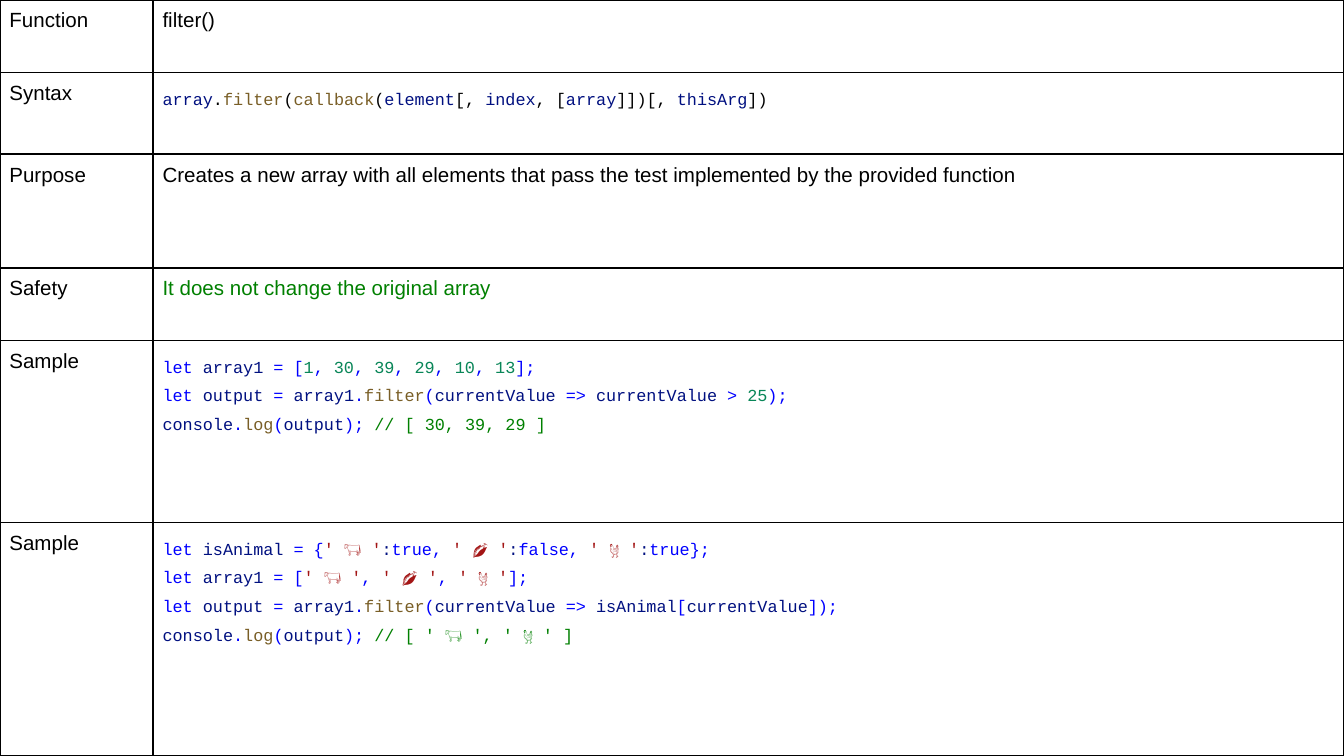
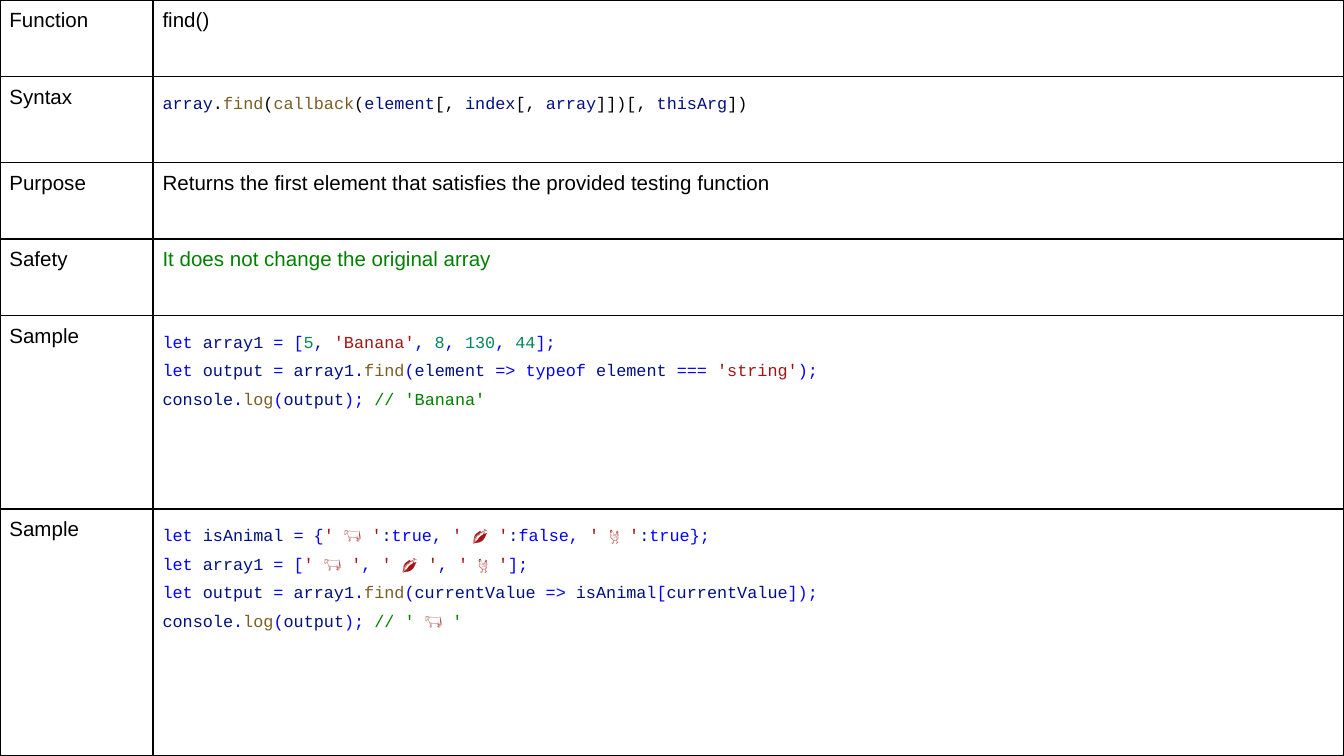
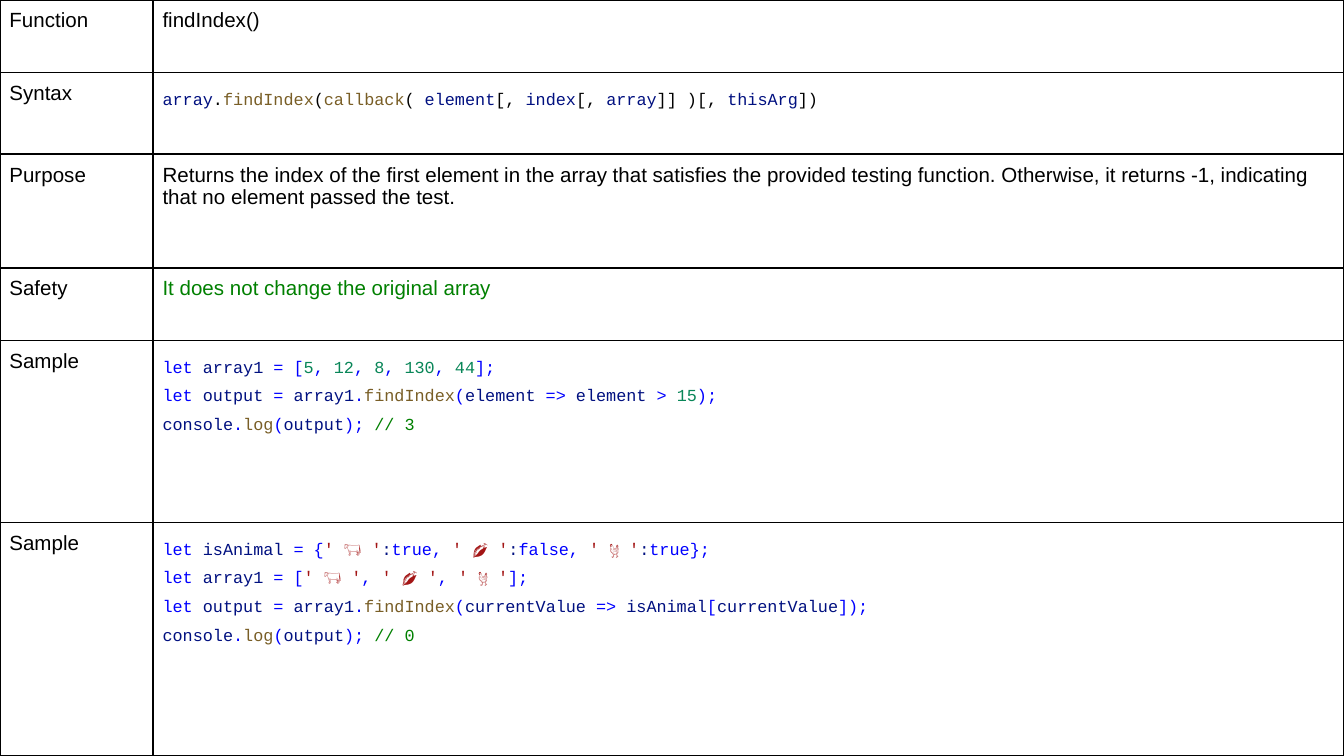
import pptx
import pptx.util
import pptx.dml.color
import pptx.oxml.ns
from lxml import etree

Inches = pptx.util.Inches
Pt = pptx.util.Pt
RGBColor = pptx.dml.color.RGBColor

# Widescreen slide, 16:9
SLIDE_WIDTH = Inches(10)
SLIDE_HEIGHT = SLIDE_WIDTH * 9 // 16

# Shared colours: plain text, then syntax highlighting
BLACK = RGBColor(0x00, 0x00, 0x00)
GREEN = RGBColor(0x00, 0x80, 0x00)
KEYWORD = RGBColor(0x00, 0x00, 0xFF)
NAME = RGBColor(0x00, 0x10, 0x80)
FUNCTION = RGBColor(0x79, 0x5E, 0x26)
NUMBER = RGBColor(0x09, 0x86, 0x58)
STRING = RGBColor(0xA3, 0x15, 0x15)

# Shared type and table measures
TEXT_FONT, TEXT_SIZE = "Arial", 11
CODE_FONT, CODE_SIZE = "Courier New", 9
CODE_SPACING = 1.5
MARGIN = Inches(0.07)
FRAME_SIZE = Inches(3.28)
COLUMNS = (1.14, 8.86)
TALL_PURPOSE_ROWS = (0.54, 0.61, 0.85, 0.54, 1.36, 1.74)
EVEN_ROWS = (0.57, 0.64, 0.57, 0.57, 1.44, 1.84)
LABELS = ("Function", "Syntax", "Purpose", "Safety", "Sample", "Sample")

SAFETY = "It does not change the original array"
COW, CORN, CHICKEN = "' 🐄 '", "' 🌽 '", "' 🐔 '"


# Code lines: each is a list of (text, colour) runs
def declare(name, opening, *runs):
    return [("let ", KEYWORD), (name, NAME), (" = " + opening, KEYWORD), *runs]


def array_line(items):
    runs = []
    for item in items:
        if runs:
            runs.append((", ", KEYWORD))
        runs.append((item, STRING if item.startswith("'") else NUMBER))
    return declare("array1", "[", *runs, ("];", KEYWORD))


def object_line(entries):
    runs = []
    for i, (key, value) in enumerate(entries):
        ending = "};" if i == len(entries) - 1 else ", "
        runs += [(key, STRING), (":", NAME), (value + ending, KEYWORD)]
    return declare("isAnimal", "{", *runs)


def call_line(method, parameter, *body):
    return declare("output", "", ("array1", NAME), (".", KEYWORD), (method, FUNCTION),
                   ("(", KEYWORD), (parameter, NAME), *body)


def log_line(*result):
    return [("console", NAME), (".", KEYWORD), ("log", FUNCTION), ("(", KEYWORD),
            ("output", NAME), ("); ", KEYWORD), *result]


def syntax_line(method, opening, before_array, closing):
    return [("array", NAME), (".", BLACK), (method, FUNCTION), ("(", BLACK),
            ("callback", FUNCTION), (opening, BLACK), ("element", NAME), ("[, ", BLACK),
            ("index", NAME), (before_array, BLACK), ("array", NAME), (closing, BLACK),
            ("thisArg", NAME), ("])", BLACK)]


def greater_than(parameter, limit):
    return (parameter, (" => ", KEYWORD), (parameter, NAME), (" > ", KEYWORD),
            (limit, NUMBER), (");", KEYWORD))


def value_sample(method, items, test, result):
    return [array_line(items), call_line(method, *test), log_line((result, GREEN))]


def animal_sample(method, *result):
    return [
        object_line([(COW, "true"), (CORN, "false"), (CHICKEN, "true")]),
        array_line([COW, CORN, CHICKEN]),
        call_line(method, "currentValue", (" => ", KEYWORD), ("isAnimal", NAME),
                  ("[", KEYWORD), ("currentValue", NAME), ("]);", KEYWORD)),
        log_line(*result),
    ]


# Table cells
def format_cell(cell):
    cell.margin_left = cell.margin_right = MARGIN
    cell.margin_top = cell.margin_bottom = MARGIN
    tcPr = cell._tc.get_or_add_tcPr()
    qn = pptx.oxml.ns.qn
    for side in ("a:lnL", "a:lnR", "a:lnT", "a:lnB"):
        ln = etree.SubElement(tcPr, qn(side), w=str(Pt(1)))
        fill = etree.SubElement(ln, qn("a:solidFill"))
        etree.SubElement(fill, qn("a:srgbClr"), val=str(BLACK))
    cell.fill.background()


def write_lines(cell, lines, font, size, spacing=None):
    tf = cell.text_frame
    for i, runs in enumerate(lines):
        p = tf.add_paragraph() if i else tf.paragraphs[0]
        p.line_spacing = spacing
        for text, colour in runs:
            r = p.add_run()
            r.text = text
            r.font.name = font
            r.font.size = Pt(size)
            r.font.color.rgb = colour


def write_text(cell, text, colour=BLACK):
    write_lines(cell, [[(text, colour)]], TEXT_FONT, TEXT_SIZE)


def write_code(cell, lines):
    write_lines(cell, lines, CODE_FONT, CODE_SIZE, CODE_SPACING)


# One reference table; columns and rows share out the given box
def add_reference_table(s, box, heights, method, syntax, purpose, samples):
    left, top, width, height = box
    frame = s.shapes.add_table(len(LABELS), len(COLUMNS), left, top, width, height)
    table = frame.table
    table.first_row = table.horz_banding = False
    for column, share in zip(table.columns, COLUMNS):
        column.width = int(width * share / sum(COLUMNS))
    for row, share, label in zip(table.rows, heights, LABELS):
        row.height = int(height * share / sum(heights))
        for cell in row.cells:
            format_cell(cell)
        write_text(row.cells[0], label)
    # The cells set the drawn size; the frame keeps its nominal one
    frame.width = frame.height = FRAME_SIZE

    details = [row.cells[1] for row in table.rows]
    write_text(details[0], method + "()")
    write_code(details[1], [syntax_line(method, *syntax)])
    write_text(details[2], purpose)
    write_text(details[3], SAFETY, GREEN)
    for cell, sample in zip(details[4:], samples):
        write_code(cell, sample)


FUNCTIONS = [
    (TALL_PURPOSE_ROWS, "filter", ("(", ", [", "]])[, "),
     "Creates a new array with all elements that pass the test implemented by "
     "the provided function",
     [value_sample("filter", ["1", "30", "39", "29", "10", "13"],
                   greater_than("currentValue", "25"), "// [ 30, 39, 29 ]"),
      animal_sample("filter", (f"// [ {COW}, {CHICKEN} ]", GREEN))]),
    (EVEN_ROWS, "find", ("(", "[, ", "]])[, "),
     "Returns the first element that satisfies the provided testing function",
     [value_sample("find", ["5", "'Banana'", "8", "130", "44"],
                   ("element", (" => typeof ", KEYWORD), ("element", NAME),
                    (" === ", KEYWORD), ("'string'", STRING), (");", KEYWORD)),
                   "// 'Banana'"),
      animal_sample("find", ("// ' ", GREEN), ("🐄", STRING), (" '", GREEN))]),
    (TALL_PURPOSE_ROWS, "findIndex", ("( ", "[, ", "]] )[, "),
     "Returns the index of the first element in the array that satisfies the "
     "provided testing function. Otherwise, it returns -1, indicating that no "
     "element passed the test.",
     [value_sample("findIndex", ["5", "12", "8", "130", "44"],
                   greater_than("element", "15"), "// 3"),
      animal_sample("findIndex", ("// 0", GREEN))]),
]


def main():
    prs = pptx.Presentation()
    prs.slide_width, prs.slide_height = SLIDE_WIDTH, SLIDE_HEIGHT
    blank = prs.slide_layouts[6]
    for heights, *content in FUNCTIONS:
        s = prs.slides.add_slide(blank)
        add_reference_table(s, (0, 0, SLIDE_WIDTH, SLIDE_HEIGHT), heights, *content)
    prs.save("out.pptx")


if __name__ == "__main__":
    main()
